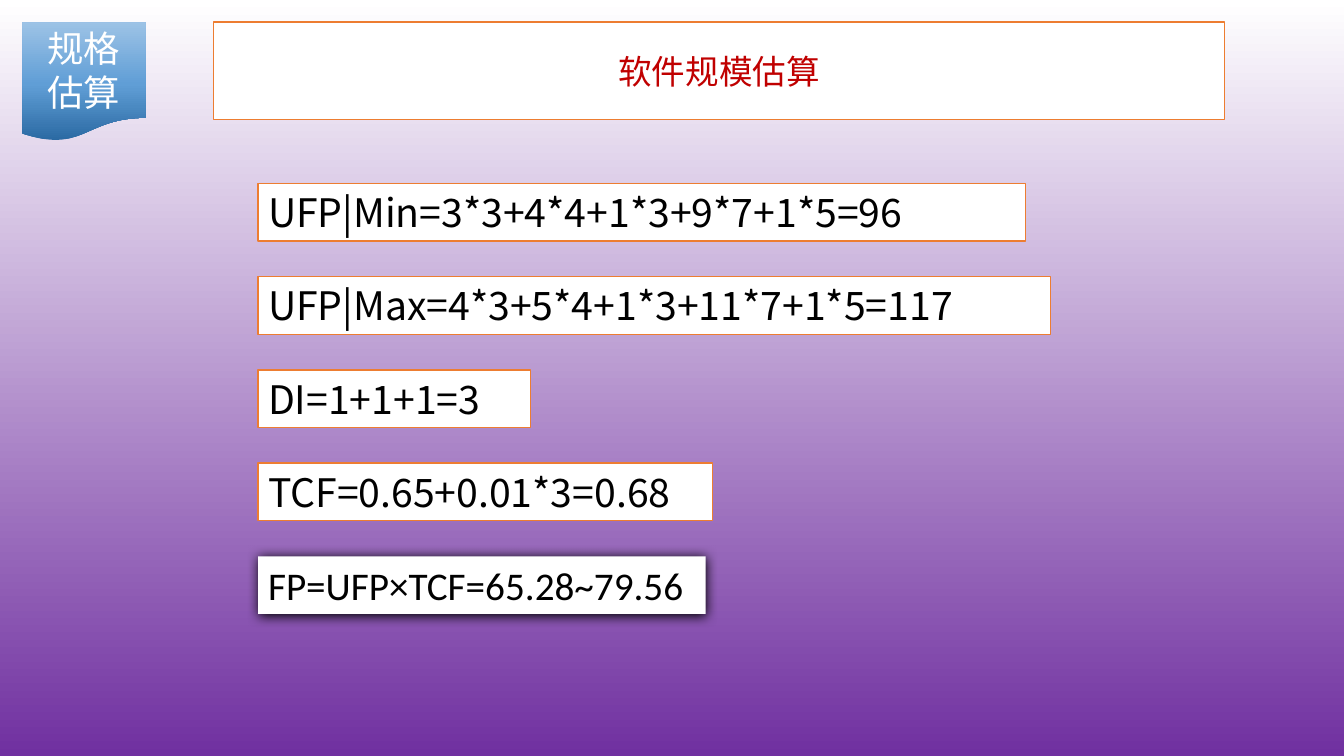
from copy import deepcopy
from dataclasses import dataclass

from lxml import etree
from pptx import Presentation
from pptx.dml.color import RGBColor
from pptx.dml.fill import FillFormat
from pptx.enum.shapes import MSO_SHAPE
from pptx.enum.text import MSO_ANCHOR, MSO_AUTO_SIZE, PP_ALIGN
from pptx.oxml.ns import qn
from pptx.shapes.autoshape import Shape
from pptx.slide import Slide
from pptx.util import Pt

RECTANGLE = MSO_SHAPE.RECTANGLE
DOCUMENT = MSO_SHAPE.FLOWCHART_DOCUMENT
TOP, MIDDLE = MSO_ANCHOR.TOP, MSO_ANCHOR.MIDDLE
LEFT, CENTER, JUSTIFY = PP_ALIGN.LEFT, PP_ALIGN.CENTER, PP_ALIGN.JUSTIFY
FIT_SHAPE, NO_FIT = MSO_AUTO_SIZE.SHAPE_TO_FIT_TEXT, MSO_AUTO_SIZE.NONE
TITLE_ONLY = 5

COLORS = {
    "white": "FFFFFF",
    "black": "000000",
    "purple": "7030A0",
    "orange": "ED7D31",
    "red": "C00000",
    "dark blue": "2A69A2",
    "blue": "609ED6",
    "light blue": "9DC3E6",
}
CJK_FONT = "Noto Sans CJK SC"
FORMULA_LEFT, FORMULA_TOP = 184.4, 131
FORMULA_HEIGHT, FORMULA_PITCH = 41.2, 66.6


@dataclass(frozen=True)
class Formula:
    text: str
    width: float
    wraps: bool = False
    is_result: bool = False


FORMULAS = [
    Formula("UFP|Min=3*3+4*4+1*3+9*7+1*5=96", 548, wraps=True),
    Formula("UFP|Max=4*3+5*4+1*3+11*7+1*5=117", 566, wraps=True),
    Formula("DI=1+1+1=3", 194.4),
    Formula("TCF=0.65+0.01*3=0.68", 324.7),
    Formula("FP=UFP×TCF=65.28~79.56", 319.7, is_result=True),
]


def rgb(name: str) -> RGBColor:
    return RGBColor.from_string(COLORS[name])


def write(shape: Shape, text: str, size: float, color: str, align: PP_ALIGN,
          anchor: MSO_ANCHOR, font_name: str = CJK_FONT) -> None:
    frame = shape.text_frame
    frame.text = text
    frame.word_wrap = True
    frame.vertical_anchor = anchor
    paragraph = frame.paragraphs[0]
    paragraph.alignment = align
    font = paragraph.runs[0].font
    font.size = Pt(size)
    font.color.rgb = rgb(color)
    font.name = font_name
    east_asian = etree.Element(qn("a:ea"), typeface=font_name)
    paragraph.runs[0].font._element.find(qn("a:latin")).addnext(east_asian)


def color_stops(fill: FillFormat, stops: list[tuple[float, str]]) -> None:
    for stop, (position, color) in zip(fill.gradient_stops, stops):
        stop.position = position
        stop.color.rgb = rgb(color)


def fill_white_with_orange_line(shape: Shape) -> None:
    shape.fill.solid()
    shape.fill.fore_color.rgb = rgb("white")
    shape.line.color.rgb = rgb("orange")
    shape.line.width = Pt(1)


def add_glow_shadow(shape: Shape) -> None:
    """Give the shape a soft dark shadow just below it."""
    effects = shape.element.spPr.find(qn("a:effectLst"))
    shadow = etree.SubElement(effects, qn("a:outerShdw"), blurRad=str(Pt(8.5)),
                              dist=str(Pt(1)), dir="5400000", algn="t", rotWithShape="0")
    etree.SubElement(shadow, qn("a:srgbClr"), val=COLORS["black"])


def paint_background(slide: Slide) -> None:
    fill = slide.background.fill
    fill.gradient()
    fill.gradient_angle = 270
    color_stops(fill, [(0, "white"), (1, "purple")])


def format_title(slide: Slide) -> None:
    """Turn the title placeholder into the arrow banner."""
    title = slide.shapes.title
    title.left, title.top, title.width, title.height = Pt(152.6), Pt(15.8), Pt(722.2), Pt(69.8)
    geometry = etree.Element(qn("a:prstGeom"), prst="rightArrow")
    etree.SubElement(geometry, qn("a:avLst"))
    title.element.spPr.find(qn("a:xfrm")).addnext(geometry)
    fill_white_with_orange_line(title)
    write(title, "软件规模估算", 24, "red", CENTER, MIDDLE)
    title.text_frame.auto_size = NO_FIT


def add_badge(slide: Slide) -> None:
    badge = slide.shapes.add_shape(DOCUMENT, Pt(16), Pt(16), Pt(88), Pt(85))
    badge.shadow.inherit = False
    badge.line.fill.background()
    badge.fill.gradient()
    badge.fill.gradient_angle = 90
    first_stop = badge.element.spPr.find(".//" + qn("a:gs"))
    first_stop.addnext(deepcopy(first_stop))
    color_stops(badge.fill, [(0, "dark blue"), (0.48, "blue"), (1, "light blue")])
    write(badge, "规格估算", 26, "white", CENTER, MIDDLE)


def add_formula(slide: Slide, formula: Formula, row: int) -> None:
    box = slide.shapes.add_shape(RECTANGLE, Pt(FORMULA_LEFT), Pt(FORMULA_TOP + row * FORMULA_PITCH),
                                 Pt(formula.width), Pt(FORMULA_HEIGHT))
    fill_white_with_orange_line(box)
    box.shadow.inherit = False
    if formula.is_result:
        box.line.fill.background()
        add_glow_shadow(box)
        write(box, formula.text, 28, "black", JUSTIFY, TOP, "Calibri")
    else:
        write(box, formula.text, 28, "black", LEFT, TOP)
    box.text_frame.word_wrap = formula.wraps
    box.text_frame.auto_size = FIT_SHAPE


def main() -> None:
    deck = Presentation()
    deck.slide_width, deck.slide_height = Pt(960), Pt(540)
    slide = deck.slides.add_slide(deck.slide_layouts[TITLE_ONLY])
    paint_background(slide)
    format_title(slide)
    add_badge(slide)
    for row, formula in enumerate(FORMULAS):
        add_formula(slide, formula, row)
    deck.save("out.pptx")


if __name__ == "__main__":
    main()
